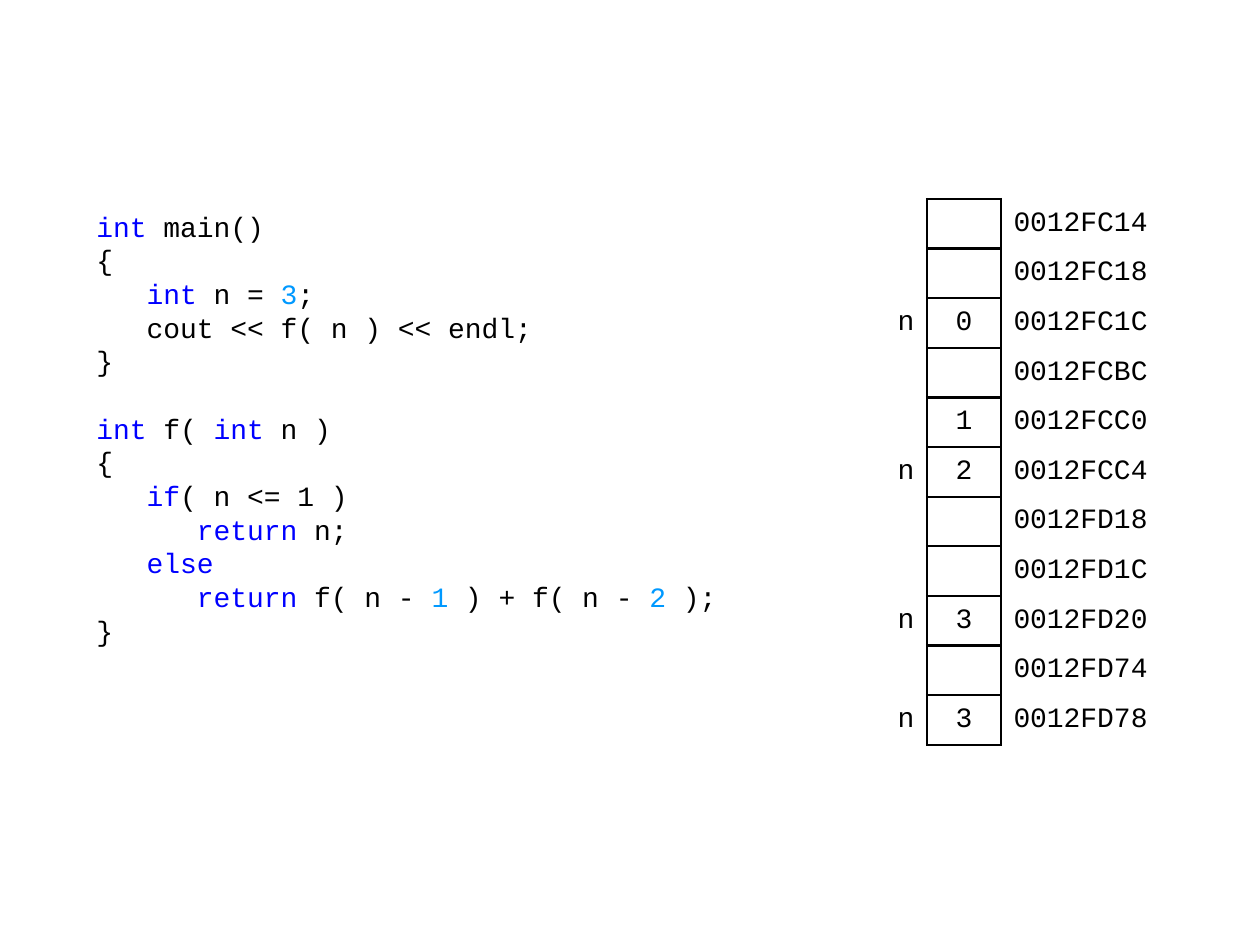
"""Build a slide showing a recursive program beside its call-stack memory."""
from dataclasses import dataclass

from lxml.etree import SubElement
from pptx import Presentation
from pptx.dml.color import RGBColor
from pptx.enum.text import MSO_ANCHOR as Anchor, PP_ALIGN as Align
from pptx.oxml.ns import qn
from pptx.util import Emu, Pt


@dataclass(frozen=True)
class Theme:
    font: str = "Courier New"
    size: float = 16
    leading: float = 19.25
    border: float = 1.5
    plain: str = "000000"
    keyword: str = "0000FF"
    number: str = "0099FF"


THEME = Theme()
PLAIN, KEYWORD, NUMBER = THEME.plain, THEME.keyword, THEME.number

CODE = [
    [("int", KEYWORD), (" main()", PLAIN)],
    [("{", PLAIN)],
    [("   ", PLAIN), ("int", KEYWORD), (" n = ", PLAIN), ("3", NUMBER), (";", PLAIN)],
    [("   cout << f( n ) << endl;", PLAIN)],
    [("}", PLAIN)],
    [("int", KEYWORD), (" f( ", PLAIN), ("int", KEYWORD), (" n )", PLAIN)],
    [("{", PLAIN)],
    [("   ", PLAIN), ("if", KEYWORD), ("( n <= 1 )", PLAIN)],
    [("      ", PLAIN), ("return", KEYWORD), (" n;", PLAIN)],
    [("   ", PLAIN), ("else", KEYWORD)],
    [("      ", PLAIN), ("return", KEYWORD), (" f( n - ", PLAIN), ("1", NUMBER),
     (" ) + f( n - ", PLAIN), ("2", NUMBER), (" );", PLAIN)],
    [("}", PLAIN)],
]
SECOND_FUNCTION = 5

MEMORY = [
    ("", "", "0012FC14"),
    ("", "", "0012FC18"),
    ("n", "0", "0012FC1C"),
    ("", "", "0012FCBC"),
    ("", "1", "0012FCC0"),
    ("n", "2", "0012FCC4"),
    ("", "", "0012FD18"),
    ("", "", "0012FD1C"),
    ("n", "3", "0012FD20"),
    ("", "", "0012FD74"),
    ("n", "3", "0012FD78"),
]
COLUMNS = [(49, Align.RIGHT, "R"), (74, Align.CENTER, "LRTB"), (174, Align.LEFT, "L")]

PAGE_SIZE = (1260, 945)
CODE_BOX = (84, 199, 645, 446)
MEMORY_LEFT, MEMORY_TOP, MEMORY_HEIGHT = 878, 199, 546


def px(length):
    return Emu(round(length * 914400 / 126))


def add_span(para, text, color=PLAIN):
    span = para.add_run()
    span.text = text
    span.font.name = THEME.font
    span.font.size = Pt(THEME.size)
    span.font.color.rgb = RGBColor.from_string(color)


def add_code(page):
    frame = page.shapes.add_textbox(*map(px, CODE_BOX)).text_frame
    frame.word_wrap = True
    frame.margin_top = px(10)
    for index, spans in enumerate(CODE):
        para = frame.add_paragraph() if index else frame.paragraphs[0]
        para.line_spacing = Pt(THEME.leading)
        if index == SECOND_FUNCTION:
            para.space_before = Pt(THEME.leading)
        for text, color in spans:
            add_span(para, text, color)


def set_borders(cell, sides):
    properties = cell._tc.get_or_add_tcPr()
    for side in "LRTB":
        line = SubElement(properties, qn(f"a:ln{side}"), w=str(Pt(THEME.border)))
        if side in sides:
            fill = SubElement(line, qn("a:solidFill"))
            SubElement(fill, qn("a:srgbClr"), val=PLAIN)
        else:
            SubElement(line, qn("a:noFill"))


def add_memory(page):
    width = sum(column[0] for column in COLUMNS)
    bounds = map(px, (MEMORY_LEFT, MEMORY_TOP, width, MEMORY_HEIGHT))
    table = page.shapes.add_table(len(MEMORY), len(COLUMNS), *bounds).table
    table.first_row = table.horz_banding = False
    for column, (column_width, _, _) in zip(table.columns, COLUMNS):
        column.width = px(column_width)
    for row, values in zip(table.rows, MEMORY):
        row.height = px(MEMORY_HEIGHT / len(MEMORY))
        for cell, text, (_, align, sides) in zip(row.cells, values, COLUMNS):
            cell.margin_top = cell.margin_bottom = px(5)
            cell.vertical_anchor = Anchor.MIDDLE
            set_borders(cell, sides)
            cell.fill.background()
            para = cell.text_frame.paragraphs[0]
            para.alignment = align
            if text:
                add_span(para, text)


def main():
    deck = Presentation()
    deck.slide_width, deck.slide_height = map(px, PAGE_SIZE)
    page = deck.slides.add_slide(deck.slide_layouts[6])
    add_code(page)
    add_memory(page)
    deck.save("out.pptx")


if __name__ == "__main__":
    main()
